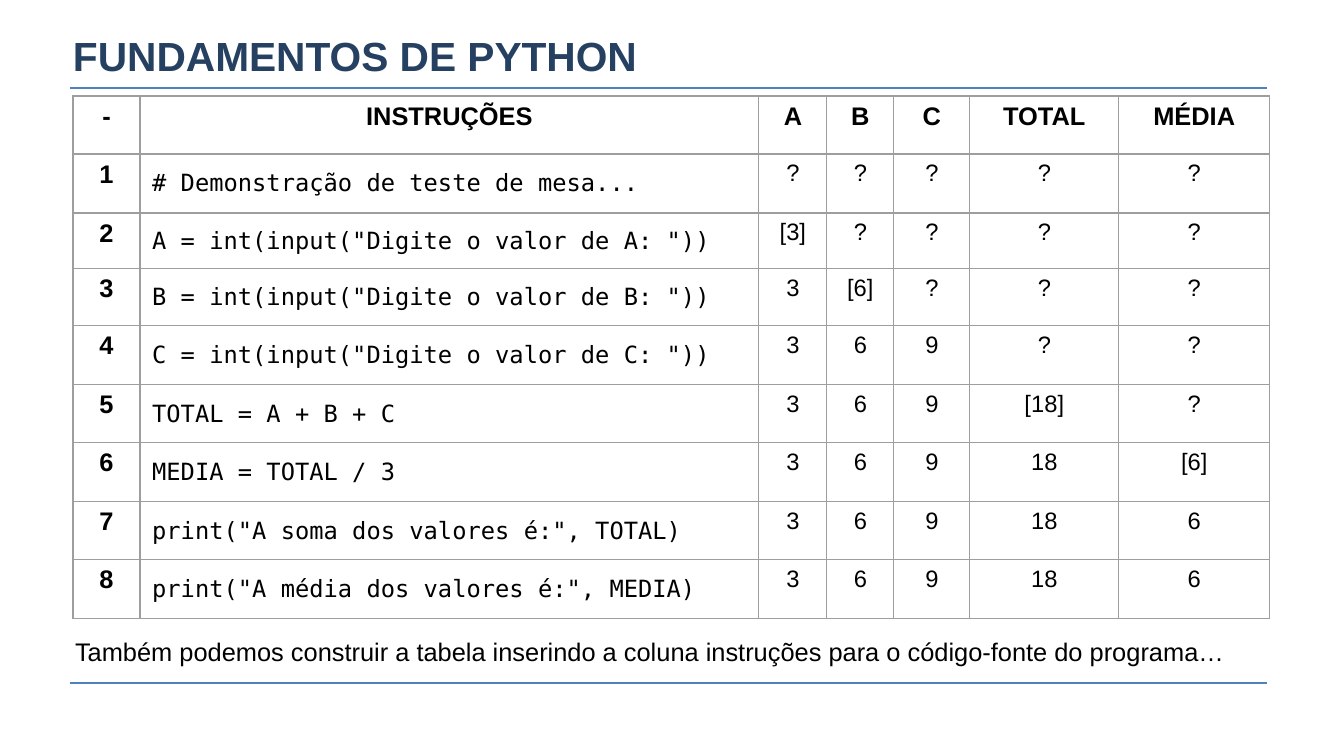
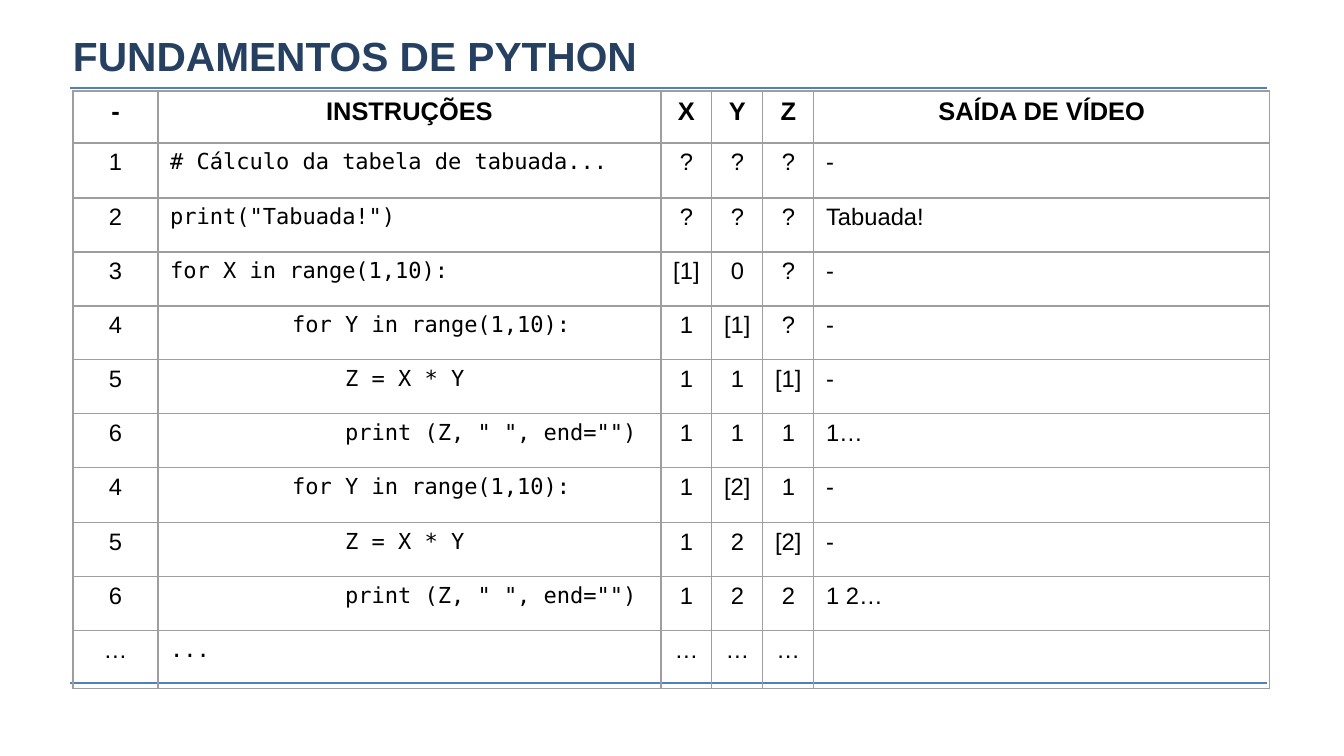
from lxml.etree import SubElement
from pptx import Presentation
from pptx.dml.color import RGBColor
from pptx.enum.shapes import MSO_CONNECTOR
from pptx.enum.text import MSO_ANCHOR, PP_ALIGN
from pptx.oxml import parse_xml
from pptx.oxml.ns import nsdecls, qn
from pptx.util import Pt

NAVY = RGBColor(0x25, 0x40, 0x61)
RULE_BLUE = RGBColor(0x4F, 0x81, 0xBD)
BLACK = RGBColor(0, 0, 0)
GRID_GREY = RGBColor(0x9E, 0x9E, 0x9E)
SANS = "Arial"
MONO = "DejaVu Sans Mono"
TITLE = "FUNDAMENTOS DE PYTHON"
RULE_LEFT, RULE_RIGHT = 70, 1267
RULE_TOPS = (683, 88)
INDENTS = (0, 122, 175)


def px(pixels):
    """Turn pixels into EMU."""
    return round(pixels * 914400 / 122)


def write(paragraph, text, size, font=SANS, bold=False, color=BLACK, align=PP_ALIGN.LEFT):
    """Fill a paragraph and format its runs."""
    paragraph.text = text
    paragraph.alignment = align
    for run in paragraph.runs:
        run.font.name = font
        run.font.size = Pt(size)
        run.font.bold = bold
        run.font.color.rgb = color


# Each row: step, code depth, instruction, then the values traced
desk_check = {
    "headings": ("-", "INSTRUÇÕES", "A", "B", "C", "TOTAL", "MÉDIA"),
    "column_edges": (73, 140, 759, 827, 894, 970, 1119, 1270),
    "row_edges": (96, 154, 213, 269, 326, 385, 443, 502, 560, 619),
    "step_size": 15, "step_bold": True,
    "code_size": 14, "code_anchor": MSO_ANCHOR.MIDDLE,
    "left_aligned": (1,),
    "rows": (
        ("1", 0, "# Demonstração de teste de mesa...", "?", "?", "?", "?", "?"),
        ("2", 0, 'A = int(input("Digite o valor de A: "))', "[3]", "?", "?", "?", "?"),
        ("3", 0, 'B = int(input("Digite o valor de B: "))', "3", "[6]", "?", "?", "?"),
        ("4", 0, 'C = int(input("Digite o valor de C: "))', "3", "6", "9", "?", "?"),
        ("5", 0, "TOTAL = A + B + C", "3", "6", "9", "[18]", "?"),
        ("6", 0, "MEDIA = TOTAL / 3", "3", "6", "9", "18", "[6]"),
        ("7", 0, 'print("A soma dos valores é:", TOTAL)', "3", "6", "9", "18", "6"),
        ("8", 0, 'print("A média dos valores é:", MEDIA)', "3", "6", "9", "18", "6"),
    ),
}
times_table = {
    "headings": ("-", "INSTRUÇÕES", "X", "Y", "Z", "SAÍDA DE VÍDEO"),
    "column_edges": (73, 158, 661, 712, 763, 814, 1270),
    "row_edges": (91, 143, 198, 252, 306, 360, 414, 468, 523, 577, 631, 689),
    "step_size": 14, "step_bold": False,
    "code_size": 13, "code_anchor": MSO_ANCHOR.TOP,
    "left_aligned": (1, 5),
    "rows": (
        ("1", 0, "# Cálculo da tabela de tabuada...", "?", "?", "?", "-"),
        ("2", 0, 'print("Tabuada!")', "?", "?", "?", "Tabuada!"),
        ("3", 0, "for X in range(1,10):", "[1]", "0", "?", "-"),
        ("4", 1, "for Y in range(1,10):", "1", "[1]", "?", "-"),
        ("5", 2, "Z = X * Y", "1", "1", "[1]", "-"),
        ("6", 2, 'print (Z, " ", end="")', "1", "1", "1", "1…"),
        ("4", 1, "for Y in range(1,10):", "1", "[2]", "1", "-"),
        ("5", 2, "Z = X * Y", "1", "2", "[2]", "-"),
        ("6", 2, 'print (Z, " ", end="")', "1", "2", "2", "1 2…"),
        ("…", 0, "...", "…", "…", "…", ""),
    ),
}

prs = Presentation()
prs.slide_width, prs.slide_height = px(1344), px(756)

for trace in (desk_check, times_table):
    slide = prs.slides.add_slide(prs.slide_layouts[6])

    for top in RULE_TOPS:
        rule = slide.shapes.add_connector(
            MSO_CONNECTOR.STRAIGHT, px(RULE_LEFT), px(top), px(RULE_RIGHT), px(top))
        rule.line.color.rgb = RULE_BLUE
        rule.line.width = Pt(0.99)
        SubElement(rule._element.spPr, qn("a:effectLst"))

    title = slide.shapes.add_textbox(px(73), px(27), px(1198), px(57)).text_frame
    title.word_wrap = True
    title.vertical_anchor = MSO_ANCHOR.MIDDLE
    title.margin_left = title.margin_right = title.margin_top = title.margin_bottom = 0
    write(title.paragraphs[0], TITLE, 24, bold=True, color=NAVY)

    columns, rows = trace["column_edges"], trace["row_edges"]
    grid = slide.shapes.add_table(
        len(rows) - 1, len(columns) - 1, px(columns[0]), px(rows[0]),
        px(columns[-1] - columns[0]), px(rows[-1] - rows[0])).table
    grid.horz_banding = False
    for column, start, end in zip(grid.columns, columns, columns[1:]):
        column.width = px(end - start)
    for row, start, end in zip(grid.rows, rows, rows[1:]):
        row.height = px(end - start)

    for c, heading in enumerate(trace["headings"]):
        write(grid.cell(0, c).text_frame.paragraphs[0], heading, 15,
              bold=True, align=PP_ALIGN.CENTER)

    for r, (step, depth, code, *values) in enumerate(trace["rows"], start=1):
        for c, text in enumerate((step, code, *values)):
            cell = grid.cell(r, c)
            paragraph = cell.text_frame.paragraphs[0]
            align = PP_ALIGN.LEFT if c in trace["left_aligned"] else PP_ALIGN.CENTER
            if c == 0:
                write(paragraph, text, trace["step_size"], bold=trace["step_bold"], align=align)
            elif c == 1:
                write(paragraph, text, trace["code_size"], font=MONO, align=align)
                paragraph._p.get_or_add_pPr().set("marL", str(px(INDENTS[depth])))
                cell.vertical_anchor = trace["code_anchor"]
            else:
                write(paragraph, text, 14, align=align)

    for cell in grid.iter_cells():
        cell.fill.background()
        borders = cell._tc.get_or_add_tcPr()
        for position, side in enumerate(("lnL", "lnR", "lnT", "lnB")):
            borders.insert(position, parse_xml(
                f'<a:{side} {nsdecls("a")} w="{Pt(0.74)}"><a:solidFill>'
                f'<a:srgbClr val="{GRID_GREY}"/></a:solidFill></a:{side}>'))

caption = prs.slides[0].shapes.add_textbox(px(63), px(620), px(1209), px(50)).text_frame
caption.word_wrap = True
caption.margin_left = caption.margin_right = caption.margin_top = caption.margin_bottom = px(12)
write(caption.paragraphs[0], "Também podemos construir a tabela inserindo a coluna "
      "instruções para o código-fonte do programa…", 15)
caption.paragraphs[0].line_spacing = 1.15
caption.paragraphs[0].space_after = Pt(10)

prs.save("out.pptx")
